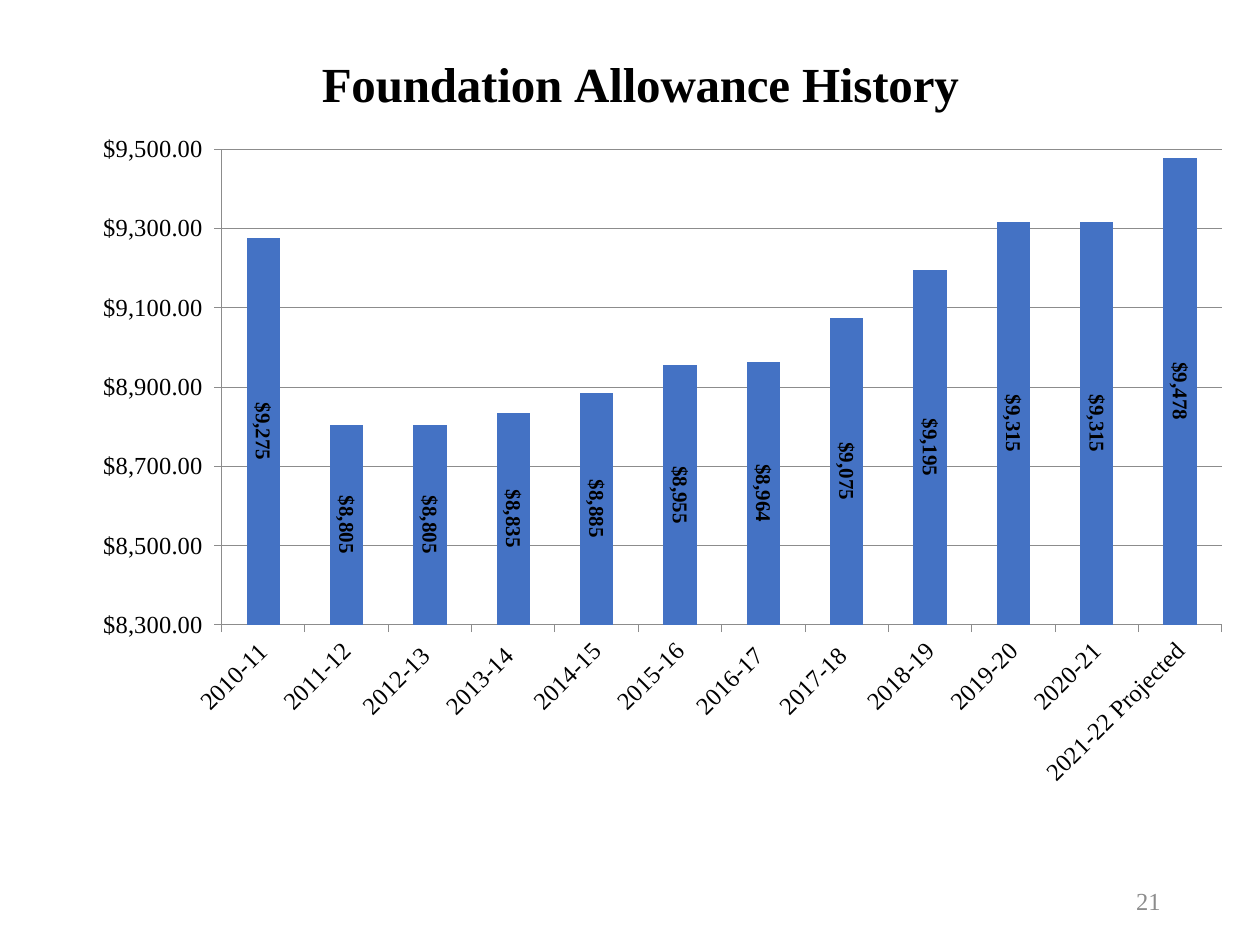
from lxml import etree
from pptx import Presentation
from pptx import util as u
from pptx.chart.data import CategoryChartData
from pptx.dml.color import RGBColor
from pptx.enum import chart as ch, text
from pptx.oxml.ns import qn

HUES = {"ink": "000000", "grey": "8C8C8C", "bar": "4472C4", "spare": "ED7D31"}
FACE = "Times New Roman"
WIDE, HIGH = u.Inches(10), u.Inches(7.5)
MONEY = r'_("$"* #,##0.00_);_("$"* \(#,##0.00\);_("$"* "-"??_);_(@_)'

YEARS = ["2010-11", "2011-12", "2012-13 ", "2013-14 ", "2014-15", "2015-16",
         "2016-17 ", "2017-18 ", "2018-19", "2019-20", "2020-21",
         "2021-22 Projected"]
SUMS = [9275, 8805, 8805, 8835, 8885, 8955, 8964, 9075, 9195, 9315, 9315, 9478]


def box(x, y, w, h):
    """Turn shares of the slide into lengths."""
    return [int(x * WIDE), int(y * HIGH), int(w * WIDE), int(h * HIGH)]


def assign(item, **vals):
    for key, val in vals.items():
        setattr(item, key, val)


def style(font, size, hue="ink", bold=False):
    assign(font, name=FACE, size=u.Pt(size), bold=bold)
    font.color.rgb = RGBColor.from_string(HUES[hue])


def rule(line):
    line.width = u.Pt(0.5)
    line.color.rgb = RGBColor.from_string(HUES["grey"])


def turn(node, angle):
    """Rotate the labels held by a chart node, in degrees."""
    body = node.find(qn("c:txPr")).find(qn("a:bodyPr"))
    body.set("rot", str(angle * 60000))
    body.set("vert", "horz")


def place(node, spot, **vals):
    """Give a title or plot area a fixed place, in shares of the chart."""
    for old in node.findall(qn("c:layout")):
        node.remove(old)
    layout = etree.Element(qn("c:layout"))
    manual = etree.SubElement(layout, qn("c:manualLayout"))
    for key, val in vals.items():
        etree.SubElement(manual, qn("c:" + key)).set("val", str(val))
    node.insert(spot, layout)


def add_bars(slide, area):
    data = CategoryChartData()
    data.categories = YEARS
    data.add_series("Series 1", SUMS)
    data.add_series("Series 2", [None] * len(YEARS))
    chart = slide.shapes.add_chart(
        ch.XL_CHART_TYPE.COLUMN_STACKED, *area, data).chart
    chart.has_legend = False
    style(chart.font, 18)
    chart.font.name = "Calibri"

    # Title
    frame = chart.chart_title.text_frame
    frame.text = "Foundation Allowance History"
    style(frame.paragraphs[0].runs[0].font, 28, bold=True)
    chart.chart_title.include_in_layout = False
    place(chart.chart_title._element, 1,
          xMode="edge", yMode="edge", x=0.231, y=0.028)

    # Plot area
    place(chart._chartSpace.chart.plotArea, 0, layoutTarget="inner",
          xMode="edge", yMode="edge", x=0.156, y=0.155, w=0.821, h=0.574)

    # Axes
    for axis in (chart.category_axis, chart.value_axis):
        axis.major_tick_mark = ch.XL_TICK_MARK.OUTSIDE
        rule(axis.format.line)
        style(axis.tick_labels.font, 14)
    turn(chart.category_axis._element, -45)
    money = chart.value_axis
    assign(money, minimum_scale=8300, maximum_scale=9500, major_unit=200,
           has_major_gridlines=True)
    rule(money.major_gridlines.format.line)
    assign(money.tick_labels, number_format=MONEY,
           number_format_is_linked=False)

    # Bars and their values
    plot = chart.plots[0]
    assign(plot, gap_width=150, overlap=100, vary_by_categories=False)
    for bars, hue in zip(plot.series, ("bar", "spare")):
        bars.format.fill.solid()
        bars.format.fill.fore_color.rgb = RGBColor.from_string(HUES[hue])
        tags = bars.data_labels
        assign(tags, show_value=True, position=ch.XL_LABEL_POSITION.CENTER,
               number_format=r"\$#,##0", number_format_is_linked=False)
        style(tags.font, 12, bold=True)
        turn(tags._element, 90)


def add_page(slide, area, label):
    frame = slide.shapes.add_textbox(*area).text_frame
    assign(frame, word_wrap=True, vertical_anchor=text.MSO_ANCHOR.MIDDLE)
    para = frame.paragraphs[0]
    para.alignment = text.PP_ALIGN.RIGHT
    run = para.add_run()
    run.text = label
    style(run.font, 14, "grey")


def main():
    deck = Presentation()
    assign(deck, slide_width=WIDE, slide_height=HIGH)
    slide = deck.slides.add_slide(deck.slide_layouts[6])
    add_bars(slide, box(0.025, 0.022, 0.967, 0.877))
    add_page(slide, box(0.706, 0.927, 0.225, 0.053), "21")
    deck.save("out.pptx")


if __name__ == "__main__":
    main()
